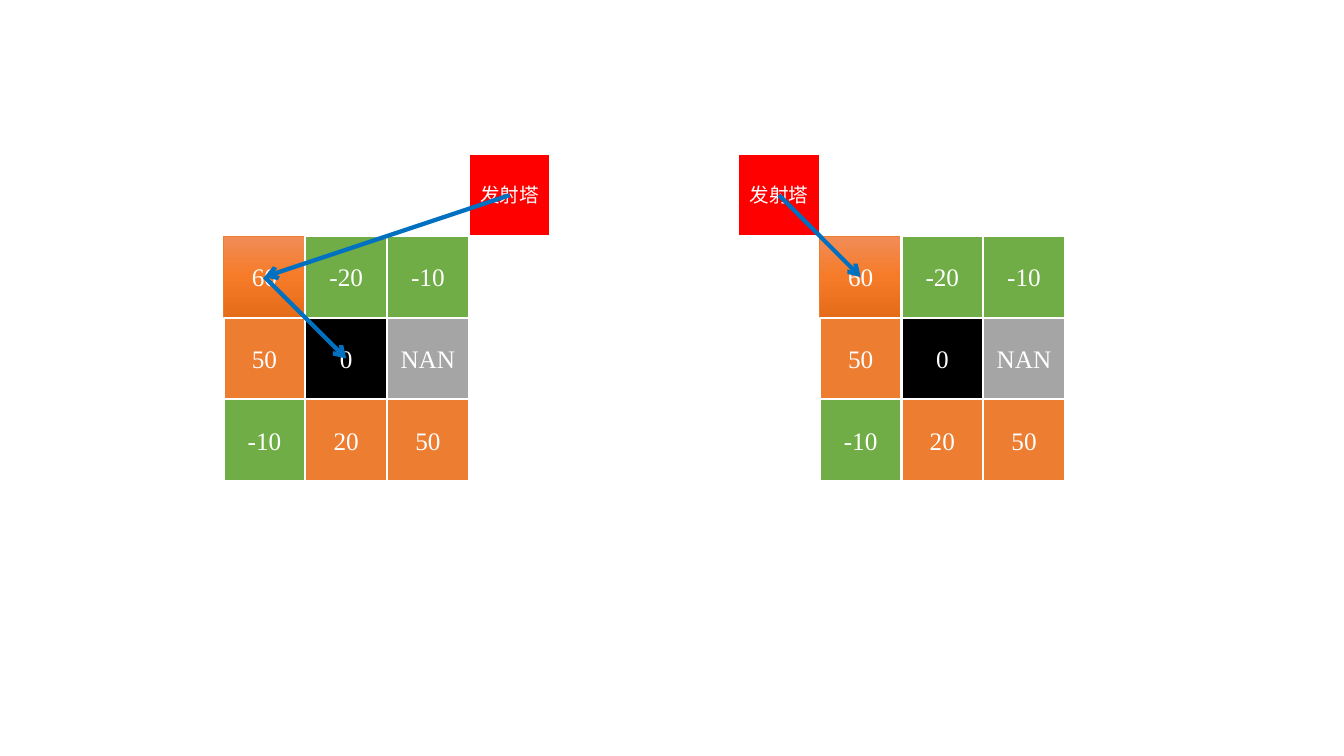
from copy import deepcopy

from pptx import Presentation
from pptx.dml.color import RGBColor
from pptx.enum.shapes import MSO_CONNECTOR, MSO_SHAPE
from pptx.enum.text import MSO_ANCHOR, PP_ALIGN
from pptx.oxml.ns import qn
from pptx.util import Pt

RECTANGLE = MSO_SHAPE.RECTANGLE
STRAIGHT = MSO_CONNECTOR.STRAIGHT
MIDDLE = MSO_ANCHOR.MIDDLE
CENTER = PP_ALIGN.CENTER

WHITE = RGBColor(0xFF, 0xFF, 0xFF)
BLACK = RGBColor(0x00, 0x00, 0x00)
GREEN = RGBColor(0x70, 0xAD, 0x47)
ORANGE = RGBColor(0xED, 0x7D, 0x31)
GRAY = RGBColor(0xA5, 0xA5, 0xA5)
RED = RGBColor(0xFF, 0x00, 0x00)
BLUE = RGBColor(0x00, 0x70, 0xC0)
ORANGE_GRADIENT = (
    RGBColor(0xF1, 0x8C, 0x57),
    RGBColor(0xF6, 0x7B, 0x28),
    RGBColor(0xE5, 0x6C, 0x19),
)

CELL = 58.35
GRID_TOP = 168.6
VALUES = (
    (("60", ORANGE_GRADIENT), ("-20", GREEN), ("-10", GREEN)),
    (("50", ORANGE), ("0", BLACK), ("NAN", GRAY)),
    (("-10", GREEN), ("20", ORANGE), ("50", ORANGE)),
)
DIAGRAMS = (
    (159.8, (3, -1), ((3, -1), (0, 0), (1, 1))),
    (585.6, (-1, -1), ((-1, -1), (0, 0))),
)


class GridPage:
    number_font = "Times New Roman"
    label_font = "Noto Sans CJK SC"

    def __init__(self, deck):
        self.page = deck.slides.add_slide(deck.slide_layouts[6])

    def start_diagram(self, left):
        self.left = left
        self.group = self.page.shapes.add_group_shape()

    def corner(self, column, row):
        return self.left + column * CELL, GRID_TOP + row * CELL

    def center(self, column, row):
        return self.corner(column + 0.5, row + 0.5)

    def fill_gradient(self, box, colors):
        box.fill.gradient()
        stops = box._element.spPr.find(qn("a:gradFill")).find(qn("a:gsLst"))
        stops.insert(1, deepcopy(stops[0]))
        for stop, color, position in zip(box.fill.gradient_stops, colors, (0, 0.5, 1)):
            stop.color.rgb = color
            stop.position = position
        box.fill.gradient_angle = 270

    def cell(self, column, row, text, fill, font=number_font, size=18):
        left, top = self.corner(column, row)
        box = self.group.shapes.add_shape(RECTANGLE, Pt(left), Pt(top), Pt(CELL), Pt(CELL))
        box.shadow.inherit = False
        if fill is ORANGE_GRADIENT:
            self.fill_gradient(box, fill)
            box.line.color.rgb, box.line.width = ORANGE, Pt(0.5)
        else:
            box.fill.solid()
            box.fill.fore_color.rgb = fill
            box.line.color.rgb, box.line.width = WHITE, Pt(1.5)
        box.text_frame.text = text
        box.text_frame.vertical_anchor = MIDDLE
        para = box.text_frame.paragraphs[0]
        para.alignment = CENTER
        span = para.runs[0]
        span.font.name = font
        span.font.size = Pt(size)
        span.font.color.rgb = WHITE
        east_asian = span._r.get_or_add_rPr().makeelement(qn("a:ea"), {"typeface": font})
        span.font._element.find(qn("a:latin")).addnext(east_asian)

    def tower(self, column, row):
        self.cell(column, row, "发射塔", RED, self.label_font, 14)

    def arrow(self, start, end):
        points = [Pt(value) for value in self.center(*start) + self.center(*end)]
        link = self.group.shapes.add_connector(STRAIGHT, *points)
        link.line.color.rgb = BLUE
        link.line.width = Pt(3)
        outline = link.line._get_or_add_ln()
        outline.append(outline.makeelement(qn("a:tailEnd"), {"type": "arrow"}))
        properties = link._element.spPr
        properties.append(properties.makeelement(qn("a:effectLst"), {}))


def main():
    deck = Presentation()
    deck.slide_width, deck.slide_height = Pt(960), Pt(540)
    grid_page = GridPage(deck)
    for left, tower, route in DIAGRAMS:
        grid_page.start_diagram(left)
        for row, cells in enumerate(VALUES):
            for column, (text, fill) in enumerate(cells):
                grid_page.cell(column, row, text, fill)
        grid_page.tower(*tower)
        for start, end in zip(route, route[1:]):
            grid_page.arrow(start, end)
    deck.save("out.pptx")


if __name__ == "__main__":
    main()
